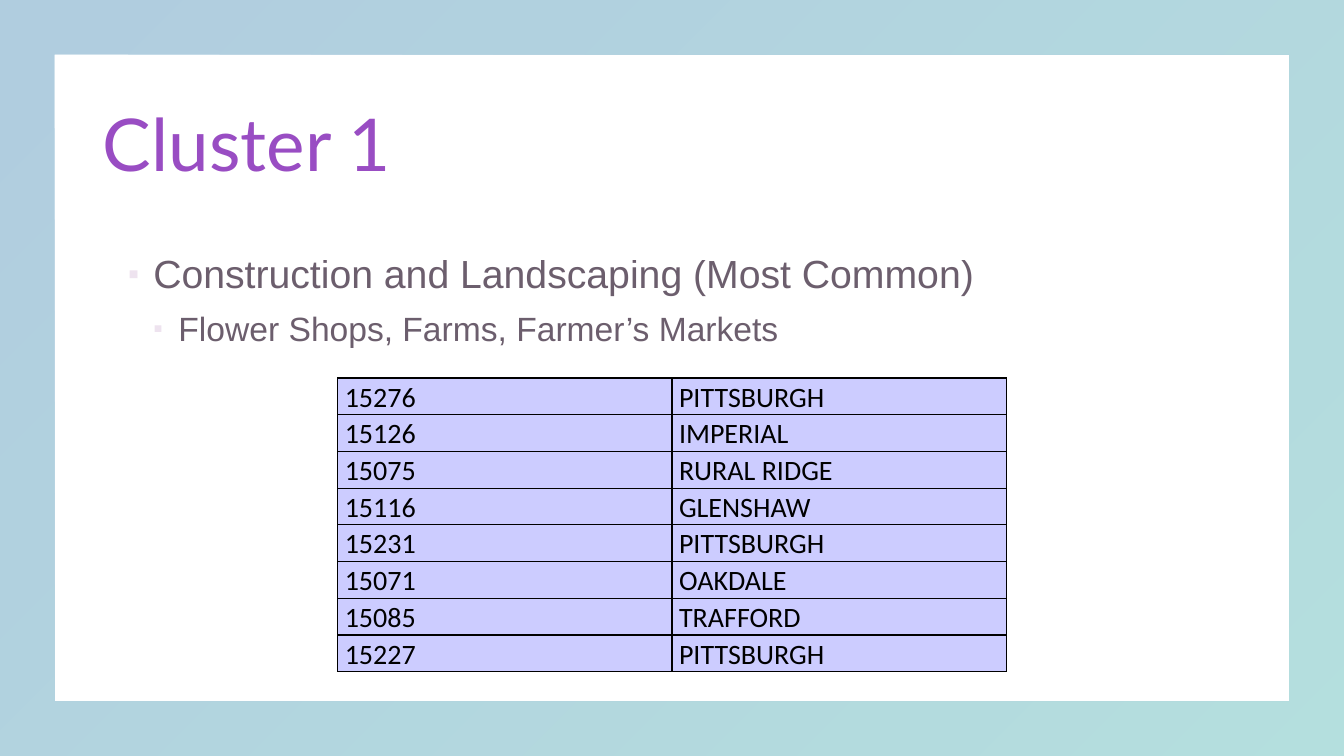
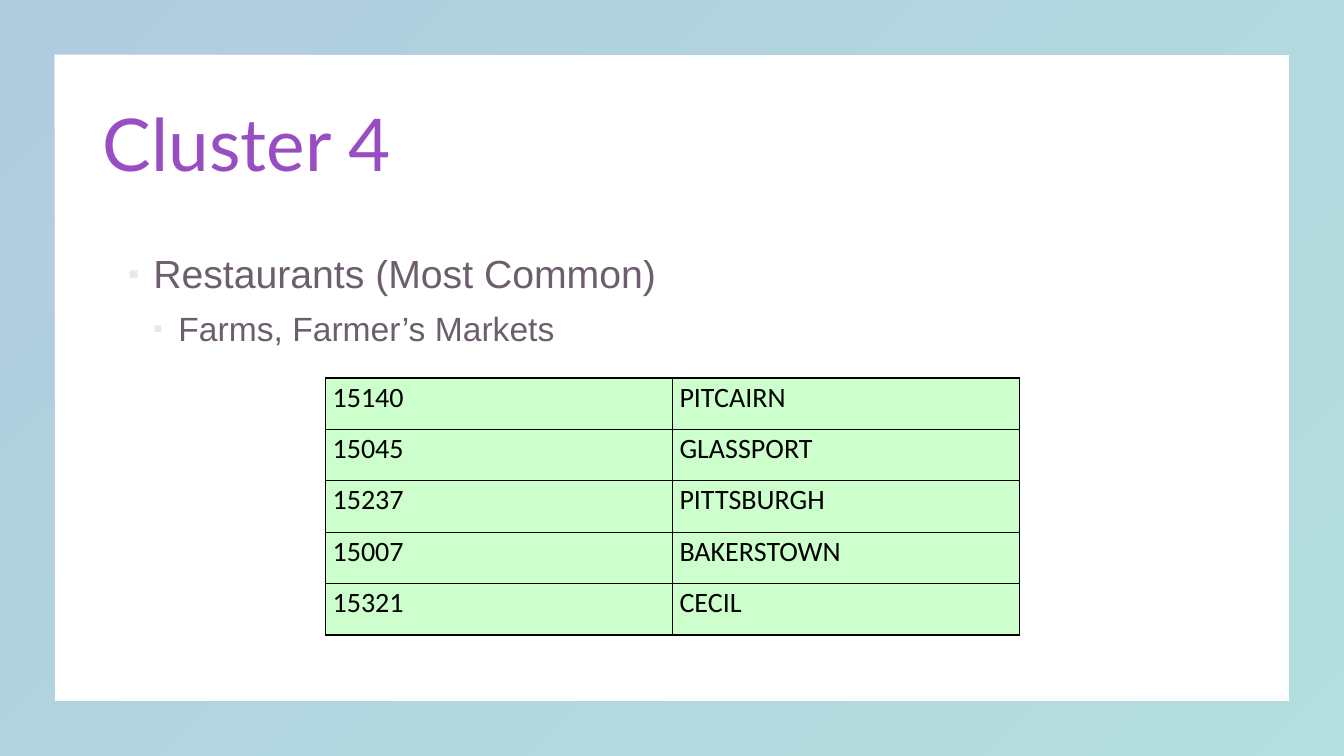
"""Build two cluster slides, each with a bulleted summary and a postcode table."""
from lxml.etree import SubElement
from pptx import Presentation
from pptx.dml.color import RGBColor
from pptx.enum.shapes import MSO_SHAPE as Shape
from pptx.enum.text import MSO_ANCHOR as Anchor, MSO_AUTO_SIZE as AutoSize, PP_ALIGN as Align
from pptx.oxml import parse_xml
from pptx.oxml.ns import nsdecls, qn
from pptx.util import Pt

PX = 9144
WIDTH, HEIGHT = 1333, 750
WHITE = RGBColor(0xFF, 0xFF, 0xFF)
BLACK = RGBColor(0x00, 0x00, 0x00)
BLUE = RGBColor(0x3B, 0x82, 0xB1)
TEAL = RGBColor(0x45, 0xAF, 0xAD)
PURPLE = RGBColor(0x99, 0x4D, 0xC3)
PLUM = RGBColor(0x2E, 0x1B, 0x30)
BULLET = RGBColor(0xEE, 0xE3, 0xEF)
LAVENDER = RGBColor(0xCC, 0xCC, 0xFF)
MINT = RGBColor(0xCC, 0xFF, 0xCC)

CLUSTERS = [
    ("Cluster 1", "Construction and Landscaping (Most Common)",
     "Flower Shops, Farms, Farmer’s Markets", LAVENDER, (335, 375, 663, 283),
     [("15276", "PITTSBURGH"), ("15126", "IMPERIAL"), ("15075", "RURAL RIDGE"),
      ("15116", "GLENSHAW"), ("15231", "PITTSBURGH"), ("15071", "OAKDALE"),
      ("15085", "TRAFFORD"), ("15227", "PITTSBURGH")]),
    ("Cluster 4", "Restaurants (Most Common)",
     "Farms, Farmer’s Markets", MINT, (323, 375, 688, 255),
     [("15140", "PITCAIRN"), ("15045", "GLASSPORT"), ("15237", "PITTSBURGH"),
      ("15007", "BAKERSTOWN"), ("15321", "CECIL")]),
]


def set_opacity(element, percent):
    for color in element.iter(qn("a:srgbClr")):
        SubElement(color, qn("a:alpha"), val=str(percent * 1000))


def write_text(paragraph, text, *, font, size, color, spacing, before=0,
               level=0, opacity=100, bullet=None):
    paragraph.alignment = Align.LEFT
    paragraph.level = level
    paragraph.line_spacing = spacing
    paragraph.space_before = Pt(before)
    run = paragraph.add_run()
    run.text = text
    run.font.name = font
    run.font.size = Pt(size)
    run.font.color.rgb = color
    if opacity < 100:
        set_opacity(run.font._element, opacity)
    if bullet:
        properties = paragraph._p.get_or_add_pPr()
        properties.set("marL", str((50 + 25 * level) * PX))
        properties.set("indent", str(-25 * PX))
        bullet_color = SubElement(properties, qn("a:buClr"))
        SubElement(bullet_color, qn("a:srgbClr"), val=str(BULLET))
        SubElement(properties, qn("a:buSzPct"), val="80000")
        SubElement(properties, qn("a:buFont"), typeface=font)
        SubElement(properties, qn("a:buChar"), char=bullet)


presentation = Presentation()
presentation.slide_width = WIDTH * PX
presentation.slide_height = HEIGHT * PX
layout = presentation.slide_layouts[1]
background = presentation.slide_master.background.fill
background.solid()
background.fore_color.rgb = WHITE
slides = [presentation.slides.add_slide(layout) for _ in CLUSTERS]

frame = slides[0].shapes.add_shape(Shape.FRAME, 0, 0, WIDTH * PX, HEIGHT * PX)
frame.adjustments[0] = 0.072
frame.shadow.inherit = False
frame.line.fill.background()
frame.fill.gradient()
frame.fill.gradient_angle = 315
for stop, color in zip(frame.fill.gradient_stops, (BLUE, TEAL)):
    stop.color.rgb = color
set_opacity(frame._element.spPr, 40)
layout.shapes.element.insert(2, frame.element)

for slide, (heading, summary, detail, tint, box, rows) in zip(slides, CLUSTERS):
    title, body = slide.placeholders
    for placeholder, top, height, anchor in ((title, 74, 145, Anchor.MIDDLE),
                                             (body, 238, 437, Anchor.TOP)):
        placeholder.left, placeholder.top = 92 * PX, top * PX
        placeholder.width, placeholder.height = 1150 * PX, height * PX
        placeholder.text_frame.vertical_anchor = anchor
        placeholder.text_frame.word_wrap = True
        placeholder.text_frame.auto_size = AutoSize.NONE

    write_text(title.text_frame.paragraphs[0], heading, font="Lato", size=52,
               color=PURPLE, spacing=0.9)
    write_text(body.text_frame.paragraphs[0], summary, font="Arial", size=28,
               color=PLUM, opacity=70, spacing=1.1, before=10, bullet="▪")
    write_text(body.text_frame.add_paragraph(), detail, font="Arial", size=24,
               color=PLUM, opacity=70, spacing=1.1, before=5, level=1, bullet="▪")

    table = slide.shapes.add_table(len(rows), 2, *(length * PX for length in box)).table
    table.first_row = table.horz_banding = False
    for row, texts in zip(table.rows, rows):
        for cell, text in zip(row.cells, texts):
            cell.margin_left = cell.margin_right = 7 * PX
            cell.margin_top = cell.margin_bottom = 0
            for side in ("lnL", "lnR", "lnT", "lnB"):
                cell._tc.get_or_add_tcPr().append(parse_xml(
                    f'<a:{side} {nsdecls("a")} w="{Pt(1)}"><a:solidFill>'
                    f'<a:srgbClr val="{BLACK}"/></a:solidFill></a:{side}>'))
            cell.fill.solid()
            cell.fill.fore_color.rgb = tint
            write_text(cell.text_frame.paragraphs[0], text, font="Calibri",
                       size=20, color=BLACK, spacing=1.07)

presentation.save("out.pptx")
